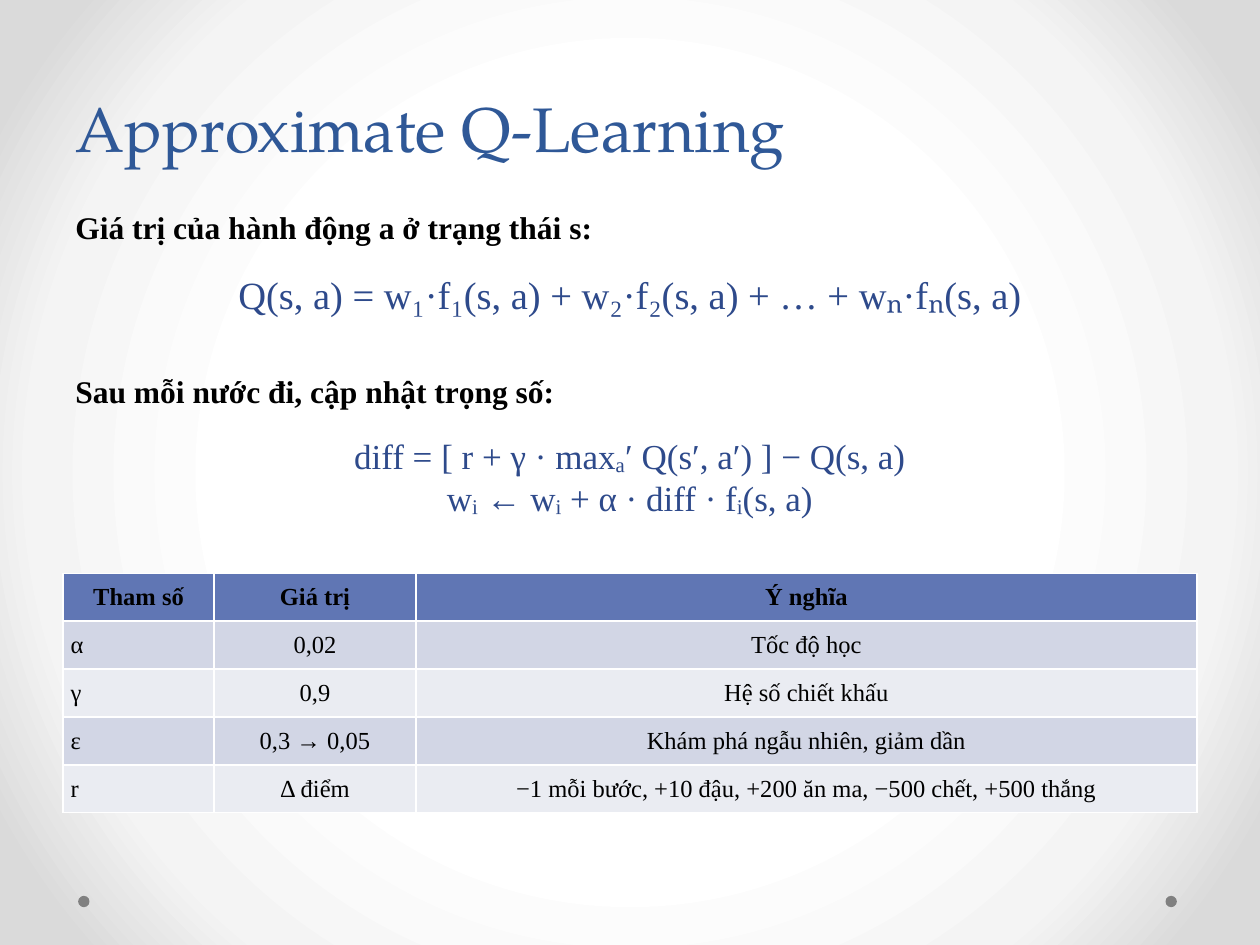
"""Build the Approximate Q-Learning slide with its formulas and parameter table."""
from pptx import Presentation
from pptx import oxml
from pptx import util as u
from pptx.dml import color
from pptx.enum import shapes, text
from pptx.oxml import ns

SERIF = "Times New Roman"
LEFT, CENTER = text.PP_ALIGN.LEFT, text.PP_ALIGN.CENTER


def rgb(value):
    return color.RGBColor.from_string(value)


def format_text(frame, size, hex_color, bold=False, align=LEFT, font=SERIF):
    for paragraph in frame.paragraphs:
        paragraph.alignment = align
        for run in paragraph.runs:
            run.font.name = font
            run.font.size = u.Pt(size)
            run.font.bold = bold
            run.font.color.rgb = rgb(hex_color)


presentation = Presentation()
presentation.slide_width, presentation.slide_height = u.Inches(10), u.Inches(7.5)
slide = presentation.slides.add_slide(presentation.slide_layouts[5])

stops = "".join(
    f'<a:gs pos="{percent * 1000}"><a:srgbClr val="{value}"/></a:gs>'
    for percent, value in [(50, "FFFFFF"), (76, "F4F4F4"), (92, "DADADA")]
)
background = oxml.parse_xml(
    f'<p:bg {ns.nsdecls("p", "a")}><p:bgPr><a:gradFill rotWithShape="1"><a:gsLst>{stops}</a:gsLst>'
    '<a:path path="circle"><a:fillToRect l="50000" t="50000" r="50000" b="50000"/></a:path>'
    "</a:gradFill><a:effectLst/></p:bgPr></p:bg>"
)
slide.element.cSld.insert(0, background)

for left in (9.25, 0.62):
    dot = slide.shapes.add_shape(
        shapes.MSO_SHAPE.OVAL, u.Inches(left), u.Inches(7.11), u.Inches(0.09), u.Inches(0.09)
    )
    dot.shadow.inherit = False
    dot.fill.solid()
    dot.fill.fore_color.rgb = rgb("808080")
    dot.line.fill.background()

title = slide.shapes.title
title.left, title.top = u.Inches(0.5), u.Inches(0.36)
title.width, title.height = u.Inches(9), u.Inches(1)
title.text_frame.text = "Approximate Q-Learning"
title.text_frame.auto_size = text.MSO_AUTO_SIZE.NONE
title.text_frame.vertical_anchor = text.MSO_ANCHOR.BOTTOM
title.text_frame.paragraphs[0].line_spacing = u.Pt(58)
format_text(title.text_frame, 36, "2F5897", font="TeX Gyre Pagella")

HEADING = (18, "000000", True, LEFT)
blocks = [
    (1.6, 0.5, "Giá trị của hành động a ở trạng thái s:", HEADING),
    (2.1, 0.6, "Q(s, a) = w₁·f₁(s, a) + w₂·f₂(s, a) + … + wₙ·fₙ(s, a)", (22, "2E4A8B", False, CENTER)),
    (2.9, 0.5, "Sau mỗi nước đi, cập nhật trọng số:", HEADING),
    (3.4, 1, "diff = [ r + γ · maxₐ′ Q(s′, a′) ] − Q(s, a)\nwᵢ ← wᵢ + α · diff · fᵢ(s, a)",
     (20, "2E4A8B", False, CENTER)),
]
for top, height, content, style in blocks:
    box = slide.shapes.add_textbox(u.Inches(0.5), u.Inches(top), u.Inches(9), u.Inches(height))
    box.text_frame.word_wrap = True
    box.text_frame.text = content
    format_text(box.text_frame, *style)

rows = [
    ("Tham số", "Giá trị", "Ý nghĩa"),
    ("α", "0,02", "Tốc độ học"),
    ("γ", "0,9", "Hệ số chiết khấu"),
    ("ε", "0,3 → 0,05", "Khám phá ngẫu nhiên, giảm dần"),
    ("r", "Δ điểm", "−1 mỗi bước, +10 đậu, +200 ăn ma, −500 chết, +500 thắng"),
]
table = slide.shapes.add_table(
    len(rows), 3, u.Inches(0.5), u.Inches(4.55), u.Inches(9), u.Inches(1.9)
).table
for column, width in zip(table.columns, (1.2, 1.6, 6.2)):
    column.width = u.Inches(width)
for row_index, row in enumerate(rows):
    header = row_index == 0
    fill = "6076B4" if header else ("EAECF2", "D2D6E5")[row_index % 2]
    for column_index, content in enumerate(row):
        cell = table.cell(row_index, column_index)
        cell.text_frame.text = content
        cell.vertical_anchor = text.MSO_ANCHOR.MIDDLE
        cell.margin_left = cell.margin_right = u.Inches(0.06)
        cell.margin_top = cell.margin_bottom = u.Inches(0.05)
        cell.fill.solid()
        cell.fill.fore_color.rgb = rgb(fill)
        align = CENTER if header or column_index else LEFT
        format_text(cell.text_frame, 14, "000000", header, align)

presentation.save("out.pptx")
